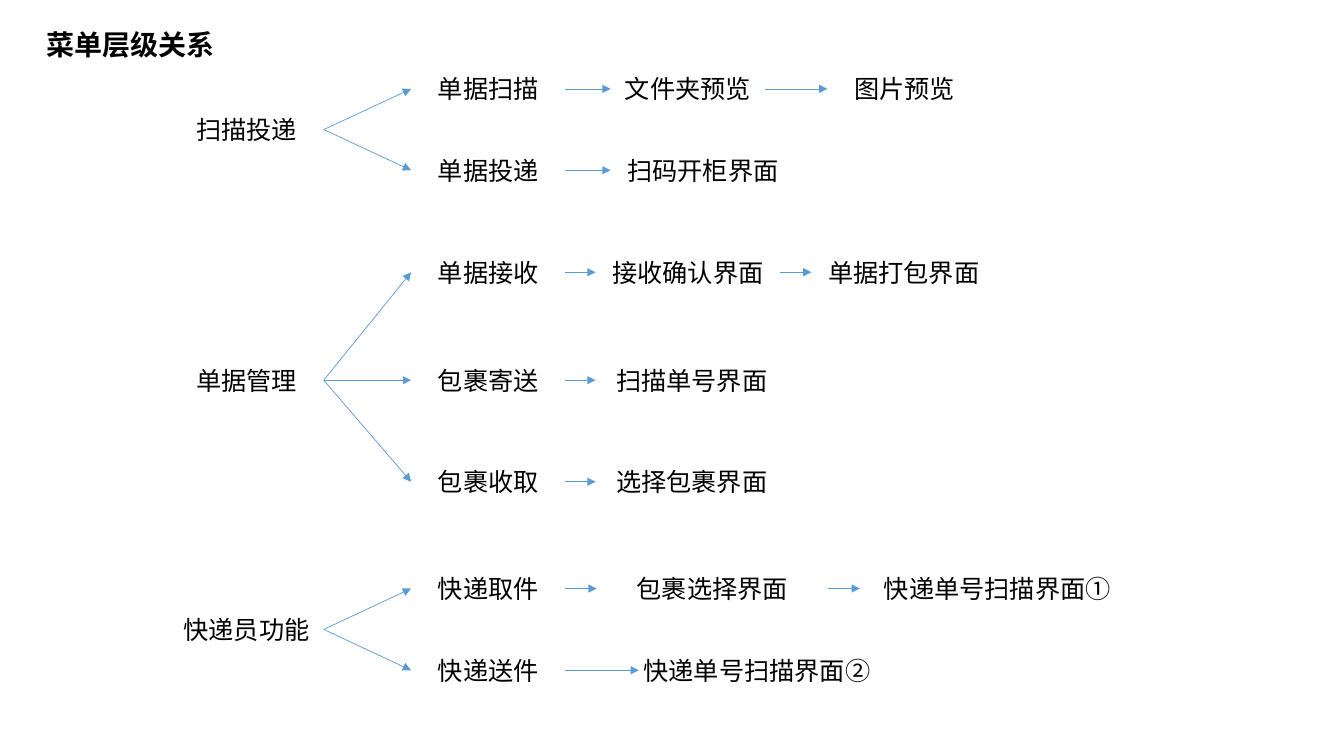
from dataclasses import dataclass

from pptx import Presentation
from pptx.dml.color import RGBColor
from pptx.enum.shapes import MSO_CONNECTOR
from pptx.enum.text import MSO_ANCHOR as Anchor, MSO_AUTO_SIZE as AutoSize, PP_ALIGN as Align
from pptx.oxml.ns import qn
from pptx.util import Cm, Pt
from lxml.etree import SubElement

LEFT_SITE, RIGHT_SITE = 1, 3
MENU_LEFT, ENTRY_LEFT, LABEL_WIDTH = 4.27, 10.36, 3.89


def color(value):
    """Turn a hex string into a colour."""
    return RGBColor.from_string(value)


@dataclass
class Screen:
    """A screen label and how far its incoming arrow reaches inside it."""
    label: str
    left: float
    width: float
    overlap: float = 0


@dataclass
class Board:
    """Style and slide on which the menu tree is drawn."""
    slide: object
    font: str = "Noto Sans CJK SC"
    ink: str = "000000"
    accent: str = "5B9BD5"
    label_height: float = 1.02

    def fill_text(self, frame, content, size, align, bold=False):
        """Put one formatted run into a text frame."""
        frame.word_wrap = True
        frame.auto_size = AutoSize.NONE
        frame.vertical_anchor = Anchor.MIDDLE
        paragraph = frame.paragraphs[0]
        paragraph.alignment = align
        run = paragraph.add_run()
        run.text = content
        run.font.name, run.font.size, run.font.bold = self.font, Pt(size), bold
        run.font.color.rgb = color(self.ink)
        SubElement(run.font._element, qn("a:ea")).set("typeface", self.font)

    def title(self, content):
        """Place and fill the title."""
        heading = self.slide.shapes.title
        heading.left, heading.top = Cm(0.91), Cm(0.56)
        heading.width, heading.height = Cm(9.12), Cm(1.12)
        self.fill_text(heading.text_frame, content, 20, Align.LEFT, True)

    def label(self, content, left, middle, width=LABEL_WIDTH):
        """Add a label centred on a row."""
        box = self.slide.shapes.add_textbox(
            Cm(left), Cm(middle - self.label_height / 2), Cm(width), Cm(self.label_height))
        self.fill_text(box.text_frame, content, 18, Align.CENTER)
        return box

    def arrow(self, source, target, overlap=0):
        """Point from the right side of one label to the left side of another."""
        link = self.slide.shapes.add_connector(MSO_CONNECTOR.STRAIGHT, 0, 0, 0, 0)
        link.begin_connect(source, RIGHT_SITE)
        if overlap:
            link.end_x = target.left + Cm(overlap)
            link.end_y = target.top + target.height // 2
        else:
            link.end_connect(target, LEFT_SITE)
        link.line.color.rgb = color(self.accent)
        link.line.width = Pt(0.5)
        SubElement(link.line._get_or_add_ln(), qn("a:tailEnd")).set("type", "triangle")
        SubElement(link._element.spPr, qn("a:effectLst"))

    def menu(self, name, entries):
        """Draw a menu, its entries and the screens that follow each entry."""
        rows = [row for _, row, _ in entries]
        middle = (rows[(len(rows) - 1) // 2] + rows[len(rows) // 2]) / 2
        root = self.label(name, MENU_LEFT, middle)
        for entry, row, screens in entries:
            previous = self.label(entry, ENTRY_LEFT, row)
            self.arrow(root, previous)
            for screen in screens:
                current = self.label(screen.label, screen.left, row, screen.width)
                self.arrow(previous, current, screen.overlap)
                previous = current


MENUS = {
    "扫描投递": [
        ("单据扫描", 2.24, [Screen("文件夹预览", 15.39, 3.89), Screen("图片预览", 20.85, 3.89)]),
        ("单据投递", 4.29, [Screen("扫码开柜界面", 15.39, 4.65)]),
    ],
    "单据管理": [
        ("单据接收", 6.86, [Screen("接收确认界面", 15.01, 4.65), Screen("单据打包界面", 20.45, 4.65)]),
        ("包裹寄送", 9.58, [Screen("扫描单号界面", 15.01, 4.85)]),
        ("包裹收取", 12.14, [Screen("选择包裹界面", 15.01, 4.85)]),
    ],
    "快递员功能": [
        ("快递取件", 14.83, [Screen("包裹选择界面", 15.04, 5.82), Screen("快递单号扫描界面①", 21.67, 6.93)]),
        ("快递送件", 16.89, [Screen("快递单号扫描界面②", 15.9, 6.35, 0.2)]),
    ],
}

deck = Presentation()
deck.slide_width, deck.slide_height = Cm(33.87), Cm(19.05)
board = Board(deck.slides.add_slide(deck.slide_layouts[5]))
board.title("菜单层级关系")
for menu_name, menu_entries in MENUS.items():
    board.menu(menu_name, menu_entries)
deck.save("out.pptx")
